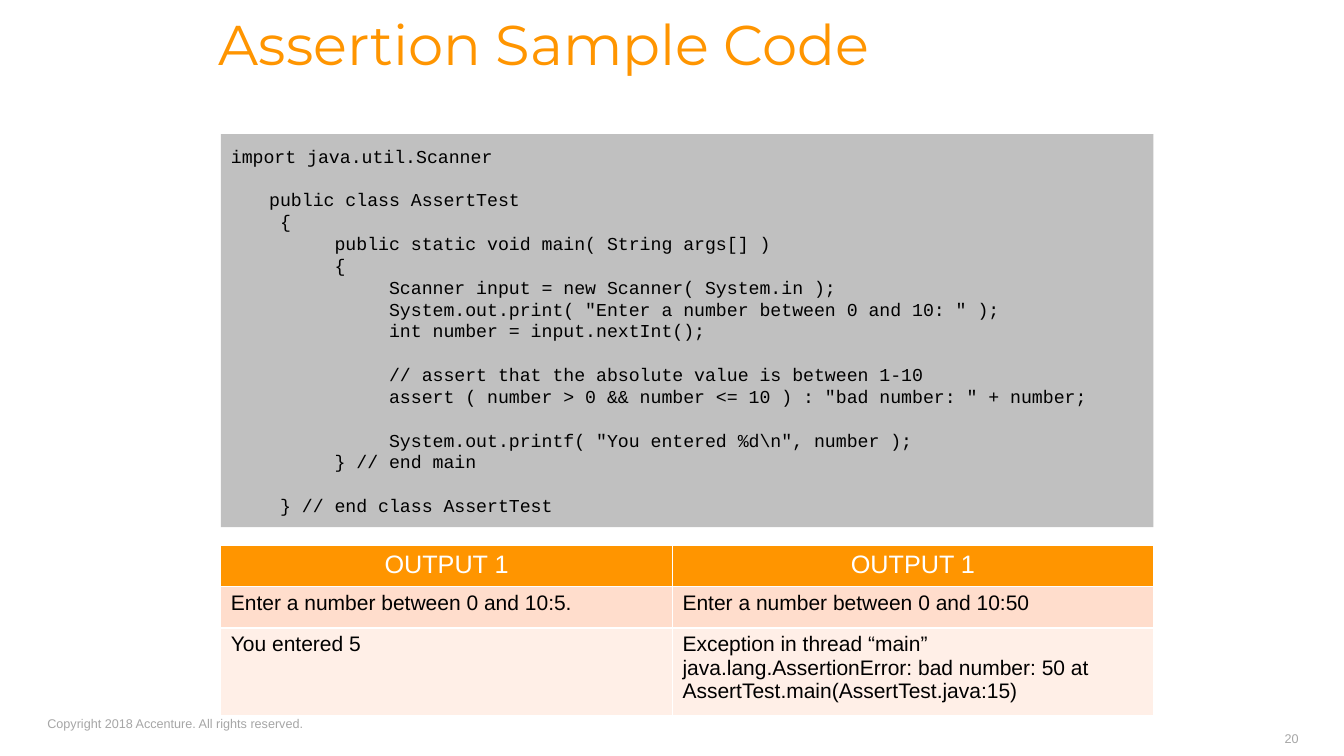
from lxml.etree import SubElement
from pptx import Presentation
from pptx.dml.color import RGBColor
from pptx.enum.text import MSO_ANCHOR as Anchor, MSO_AUTO_SIZE as AutoSize, PP_ALIGN as Align
from pptx.oxml.ns import qn
from pptx.util import Inches, Pt

ORANGE, GREY, BLACK, WHITE = "FF9500", "A6A6A6", "000000", "FFFFFF"

CODE_BLOCKS = [
    "import java.util.Scanner",
    r"""
public class AssertTest
 {
      public static void main( String args[] )
      {
           Scanner input = new Scanner( System.in );
           System.out.print( "Enter a number between 0 and 10: " );
           int number = input.nextInt();

           // assert that the absolute value is between 1-10
           assert ( number > 0 && number <= 10 ) : "bad number: " + number;

           System.out.printf( "You entered %d\n", number );
      } // end main""",
    """
 } // end class AssertTest""",
]

OUTPUT_ROWS = [
    # height, fill, font size, font colour, alignment, texts
    (0.41, ORANGE, 18, WHITE, Align.CENTER, ["OUTPUT 1", "OUTPUT 1"]),
    (0.41, "FFDDCC", 15, BLACK, Align.LEFT,
     ["Enter a number between 0 and 10:5.", "Enter a number between 0 and 10:50"]),
    (0.87, "FFEFE7", 15, BLACK, Align.LEFT,
     ["You entered 5",
      "Exception in thread “main” java.lang.AssertionError: "
      "bad number: 50 at AssertTest.main(AssertTest.java:15)"]),
]


def color(hex_string):
    return RGBColor.from_string(hex_string)


def write(paragraph, text, font_name, size, font_color, alignment=Align.LEFT):
    paragraph.text = text
    paragraph.alignment = alignment
    paragraph.font.name = font_name
    paragraph.font.size = Pt(size)
    paragraph.font.color.rgb = color(font_color)


presentation = Presentation()
presentation.slide_width, presentation.slide_height = Inches(13.33), Inches(7.5)
slide = presentation.slides.add_slide(presentation.slide_layouts[1])
title, code = slide.placeholders

# Title
title.left, title.top, title.width, title.height = map(Inches, (2.17, 0.22, 8.92, 1))
frame = title.text_frame
frame.margin_left = frame.margin_top = frame.margin_right = frame.margin_bottom = 0
frame.vertical_anchor = Anchor.TOP
frame.auto_size = AutoSize.NONE
write(frame.paragraphs[0], "Assertion Sample Code", "Montserrat", 40, ORANGE)
frame.paragraphs[0].line_spacing = 0.8

# Code panel
code.left, code.top, code.width, code.height = map(Inches, (2.19, 1.33, 9.25, 3.9))
code.fill.solid()
code.fill.fore_color.rgb = color("C0C0C0")
frame = code.text_frame
frame.word_wrap = False
frame.auto_size = AutoSize.NONE
frame.vertical_anchor = Anchor.MIDDLE
for index, block in enumerate(CODE_BLOCKS):
    paragraph = frame.add_paragraph() if index else frame.paragraphs[0]
    properties = paragraph._p.get_or_add_pPr()
    properties.set("marL", str(Inches(0.38)))
    properties.set("indent", str(-Inches(0.38)))
    SubElement(properties, qn("a:buNone"))
    write(paragraph, block, "Courier New", 13, BLACK)
    paragraph.space_before = Pt(0)
    paragraph.line_spacing = Pt(15.6)

# Output table
table = slide.shapes.add_table(
    3, 2, Inches(2.19), Inches(5.41), Inches(9.25), Inches(1.69)).table
table.first_row = table.horz_banding = False
for column, width in zip(table.columns, (4.48, 4.77)):
    column.width = Inches(width)
for row, (height, fill, size, font_color, alignment, texts) in zip(table.rows, OUTPUT_ROWS):
    row.height = Inches(height)
    for cell, text in zip(row.cells, texts):
        write(cell.text_frame.paragraphs[0], text, "Arial", size, font_color, alignment)
        properties = cell._tc.get_or_add_tcPr()
        for side in ("a:lnL", "a:lnR", "a:lnT", "a:lnB"):
            border = SubElement(properties, qn(side), w=str(Pt(1)))
            border_fill = SubElement(border, qn("a:solidFill"))
            SubElement(border_fill, qn("a:srgbClr"), val=WHITE)
        cell.fill.solid()
        cell.fill.fore_color.rgb = color(fill)

# Copyright line and slide number
for text, left, top, width, height, margin, alignment in [
    ("Copyright 2018 Accenture. All rights reserved.", 0.47, 7.05, 2.57, 0.25, 0, Align.LEFT),
    ("20", 9.98, 7.2, 3, 0.25, 0.1, Align.RIGHT),
]:
    box = slide.shapes.add_textbox(Inches(left), Inches(top), Inches(width), Inches(height))
    frame = box.text_frame
    frame.margin_left = frame.margin_right = Inches(margin)
    write(frame.paragraphs[0], text, "Arial", 9, GREY, alignment)

presentation.save("out.pptx")
